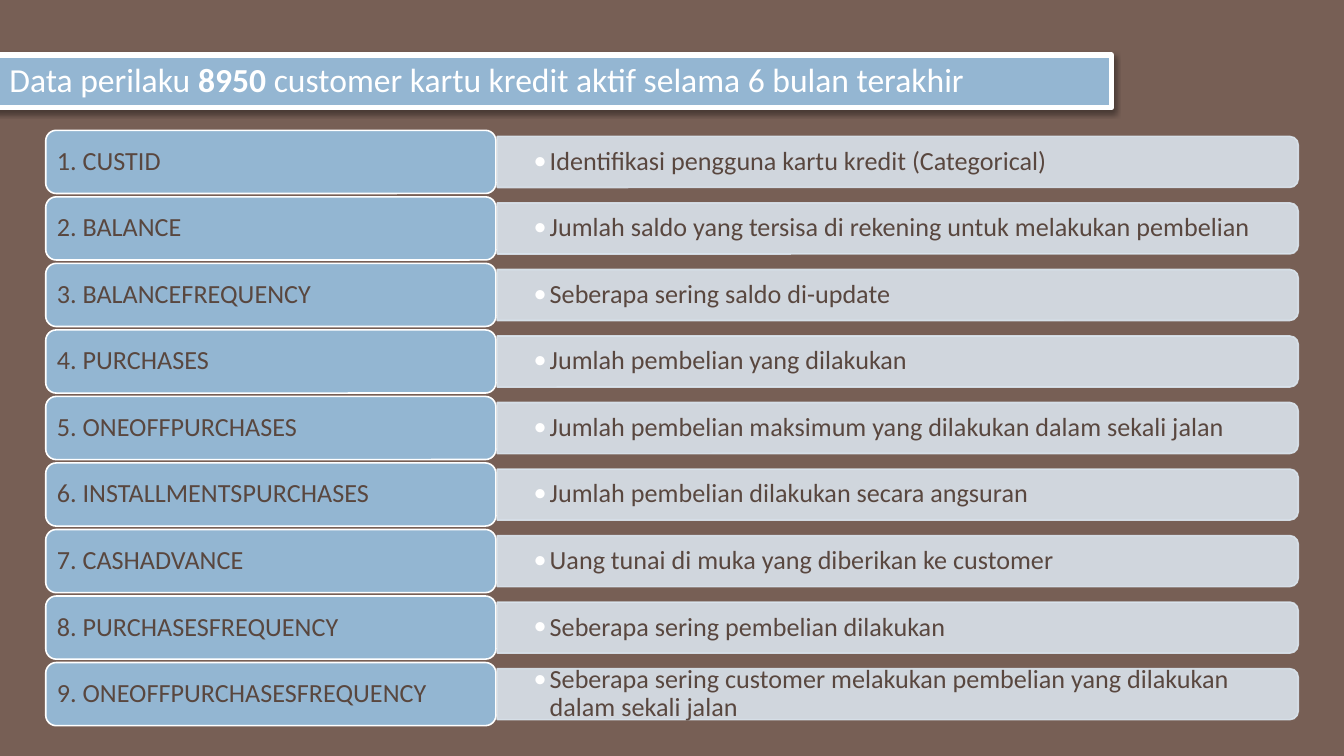
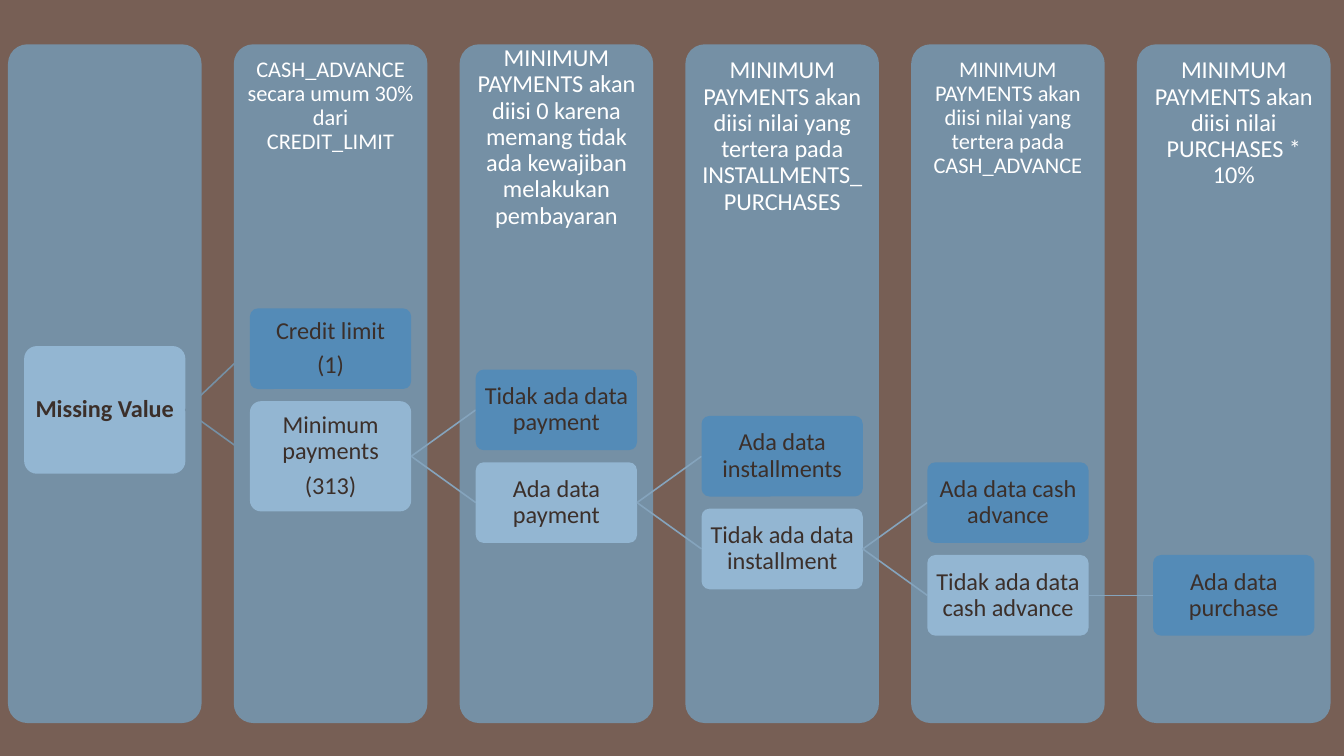
from lxml import etree
from pptx import Presentation
from pptx.dml.color import RGBColor
from pptx.enum.shapes import MSO_CONNECTOR, MSO_SHAPE
from pptx.enum.text import MSO_ANCHOR, MSO_AUTO_SIZE, PP_ALIGN
from pptx.oxml.ns import qn
from pptx.util import Inches, Pt

ROUNDED = MSO_SHAPE.ROUNDED_RECTANGLE
TOP_ROUNDED = MSO_SHAPE.ROUND_2_SAME_RECTANGLE
STRAIGHT = MSO_CONNECTOR.STRAIGHT
TOP, MIDDLE = MSO_ANCHOR.TOP, MSO_ANCHOR.MIDDLE
LEFT, CENTER = PP_ALIGN.LEFT, PP_ALIGN.CENTER
FIXED_SIZE = MSO_AUTO_SIZE.NONE
TITLE_ONLY, BLANK = 5, 6

SLIDE_WIDTH = 10
SLIDE_HEIGHT = SLIDE_WIDTH * 9 / 16

FONT = "Calibri"
BROWN = RGBColor(0x77, 0x5F, 0x55)
WHITE = RGBColor(0xFF, 0xFF, 0xFF)
TITLE_BLUE = RGBColor(0x94, 0xB6, 0xD2)
LIGHT_BLUE = RGBColor(0x93, 0xB6, 0xD2)
STRONG_BLUE = RGBColor(0x54, 0x8B, 0xB7)
SLATE = RGBColor(0x75, 0x90, 0xA5)
LINK_BLUE = RGBColor(0x85, 0xA4, 0xBD)
PALE_BLUE = RGBColor(0xDB, 0xE5, 0xEE)
TEXT_BROWN = RGBColor(0x59, 0x47, 0x3F)
DARK_BROWN = RGBColor(0x3B, 0x2F, 0x2A)
LINE_WIDTH = Pt(0.85)

TITLE_PARTS = ["Data perilaku", " 8950", " customer kartu kredit aktif selama 6 bulan terakhir"]

VARIABLES = [
    ("CUSTID", "Identifikasi pengguna kartu kredit (Categorical)"),
    ("BALANCE", "Jumlah saldo yang tersisa di rekening untuk melakukan pembelian"),
    ("BALANCEFREQUENCY", "Seberapa sering saldo di-update"),
    ("PURCHASES", "Jumlah pembelian yang dilakukan"),
    ("ONEOFFPURCHASES", "Jumlah pembelian maksimum yang dilakukan dalam sekali jalan"),
    ("INSTALLMENTSPURCHASES", "Jumlah pembelian dilakukan secara angsuran"),
    ("CASHADVANCE", "Uang tunai di muka yang diberikan ke customer"),
    ("PURCHASESFREQUENCY", "Seberapa sering pembelian dilakukan"),
    ("ONEOFFPURCHASESFREQUENCY",
     "Seberapa sering customer melakukan pembelian yang dilakukan dalam sekali jalan"),
]
ROW_TOP, LAST_ROW_TOP = 0.97, 4.93
ROW_STEP = (LAST_ROW_TOP - ROW_TOP) / (len(VARIABLES) - 1)
LABEL_LEFT, LABEL_WIDTH, LABEL_HEIGHT = 0.34, 3.35, 0.47
BAR_LEFT, BAR_WIDTH, BAR_HEIGHT = 3.7, 5.96, 0.38

# Each column: text, text size, text top
COLUMNS = [
    ("", 13, 0.33),
    ("CASH_ADVANCE secara umum 30% dari CREDIT_LIMIT", 12, 0.33),
    ("MINIMUM PAYMENTS akan diisi 0 karena memang tidak ada kewajiban melakukan pembayaran",
     13, 0.24),
    ("MINIMUM PAYMENTS akan diisi nilai yang tertera pada INSTALLMENTS_PURCHASES", 13, 0.33),
    ("MINIMUM PAYMENTS akan diisi nilai yang tertera pada CASH_ADVANCE", 12, 0.33),
    ("MINIMUM PAYMENTS akan diisi nilai PURCHASES * 10%", 13, 0.33),
]
# Each level: text, height and fill of its nodes; the last node branches on
LEVELS = [
    [("Credit limit\n(1)", 0.6, STRONG_BLUE),
     ("Minimum payments\n(313)", 0.82, LIGHT_BLUE)],
    [("Tidak ada data payment", 0.6, STRONG_BLUE), ("Ada data payment", 0.6, LIGHT_BLUE)],
    [("Ada data installments", 0.6, STRONG_BLUE),
     ("Tidak ada data installment", 0.6, LIGHT_BLUE)],
    [("Ada data cash advance", 0.6, STRONG_BLUE),
     ("Tidak ada data cash advance", 0.6, LIGHT_BLUE)],
    [("Ada data purchase", 0.6, STRONG_BLUE)],
]
COLUMN_LEFT, COLUMN_STEP, COLUMN_TOP = 0.06, 1.68, 0.33
COLUMN_WIDTH, COLUMN_HEIGHT = 1.44, 5.05
NODE_LEFT, NODE_WIDTH, NODE_GAP = 0.18, 1.2, 0.09
ROOT_CENTER, ROOT_HEIGHT = 3.05, 0.95


def inches(*lengths):
    return [Inches(length) for length in lengths]


def set_frame(frame, anchor, side, edge):
    frame.word_wrap = True
    frame.auto_size = FIXED_SIZE
    frame.vertical_anchor = anchor
    frame.margin_left = frame.margin_right = Inches(side)
    frame.margin_top = frame.margin_bottom = Inches(edge)


def format_runs(paragraph, size, color, bold=False):
    for run in paragraph.runs:
        run.font.name = FONT
        run.font.size = Pt(size)
        run.font.bold = bold
        run.font.color.rgb = color


def set_text(frame, text, size, color, align=LEFT, bold=False):
    frame.text = text
    for index, paragraph in enumerate(frame.paragraphs):
        paragraph.alignment = align
        paragraph.line_spacing = 0.9
        if index:
            paragraph.space_before = Pt(4.5)
        format_runs(paragraph, size, color, bold)


def add_box(slide, kind, box, fill, corner, line=None):
    shape = slide.shapes.add_shape(kind, *inches(*box))
    shape.shadow.inherit = False
    shape.adjustments[0] = corner
    shape.fill.solid()
    shape.fill.fore_color.rgb = fill
    if line is None:
        shape.line.fill.background()
    else:
        shape.line.color.rgb = line
        shape.line.width = LINE_WIDTH
    return shape


def add_link(slide, start, end, color):
    link = slide.shapes.add_connector(STRAIGHT, *inches(*start, *end))
    link.line.color.rgb = color
    link.line.width = LINE_WIDTH
    etree.SubElement(link._element.spPr, qn("a:effectLst"))


def set_opacity(parent, percent):
    for color in parent.iter(qn("a:srgbClr")):
        etree.SubElement(color, qn("a:alpha"), val=str(percent * 1000))


def add_bullet(paragraph, color):
    paragraph.level = 1
    properties = paragraph._p.get_or_add_pPr()
    properties.set("marL", str(Inches(0.12)))
    properties.set("indent", str(-Inches(0.12)))
    bullet_color = etree.SubElement(properties, qn("a:buClr"))
    etree.SubElement(bullet_color, qn("a:srgbClr"), val=str(color))
    etree.SubElement(properties, qn("a:buFont"), typeface=FONT)
    etree.SubElement(properties, qn("a:buChar"), char="•")


def add_drop_shadow(shape):
    shape.shadow.inherit = False
    effects = shape._element.spPr.find(qn("a:effectLst"))
    shadow = etree.SubElement(effects, qn("a:outerShdw"), blurRad=str(Pt(3.1)),
                              dist=str(Pt(1.6)), dir="5400000", rotWithShape="0")
    etree.SubElement(shadow, qn("a:srgbClr"), val="000000")
    set_opacity(shadow, 38)


def format_title(title):
    title.left, title.top, title.width, title.height = inches(-0.03, 0.41, 8.3, 0.39)
    title.fill.solid()
    title.fill.fore_color.rgb = TITLE_BLUE
    title.line.color.rgb = WHITE
    title.line.width = Pt(3)
    add_drop_shadow(title)
    frame = title.text_frame
    set_frame(frame, TOP, 0.1, 0.05)
    paragraph = frame.paragraphs[0]
    paragraph.alignment = LEFT
    paragraph.line_spacing = 0.95
    for part in TITLE_PARTS:
        paragraph.add_run().text = part
    format_runs(paragraph, 18, WHITE)
    paragraph.runs[1].font.bold = True


def add_variable_row(slide, top, label, description):
    center = top + LABEL_HEIGHT / 2
    bar_box = (BAR_LEFT + (BAR_WIDTH - BAR_HEIGHT) / 2, center - BAR_WIDTH / 2,
               BAR_HEIGHT, BAR_WIDTH)
    bar = add_box(slide, TOP_ROUNDED, bar_box, PALE_BLUE, 0.167, PALE_BLUE)
    bar.rotation = 90
    set_opacity(bar._element.spPr, 89)

    detail = slide.shapes.add_textbox(*inches(BAR_LEFT, center - 0.17, 5.95, 0.34))
    set_frame(detail.text_frame, MIDDLE, 0.27, 0.14)
    set_text(detail.text_frame, description, 14, TEXT_BROWN)
    add_bullet(detail.text_frame.paragraphs[0], WHITE)

    label_box = (LABEL_LEFT, top, LABEL_WIDTH, LABEL_HEIGHT)
    name = add_box(slide, ROUNDED, label_box, LIGHT_BLUE, 0.167, WHITE)
    set_frame(name.text_frame, MIDDLE, 0.06, 0.03)
    set_text(name.text_frame, label, 14, TEXT_BROWN)


def add_column(slide, index, text, size, text_top):
    left = COLUMN_LEFT + index * COLUMN_STEP
    add_box(slide, ROUNDED, (left, COLUMN_TOP, COLUMN_WIDTH, COLUMN_HEIGHT), SLATE, 0.1)
    if text:
        heading = slide.shapes.add_textbox(*inches(left, text_top, COLUMN_WIDTH, 1.51))
        set_frame(heading.text_frame, TOP, 0.1, 0.1)
        set_text(heading.text_frame, text, size, WHITE, CENTER)


def add_node(slide, left, center, height, text, fill, bold=False):
    node = add_box(slide, ROUNDED, (left, center - height / 2, NODE_WIDTH, height), fill, 0.1)
    set_frame(node.text_frame, MIDDLE, 0.01, 0.01)
    set_text(node.text_frame, text, 13, DARK_BROWN, CENTER, bold)


def add_tree(slide):
    """Centre the nodes of each level on the last node of the level before."""
    add_node(slide, NODE_LEFT, ROOT_CENTER, ROOT_HEIGHT, "Missing Value", LIGHT_BLUE, True)
    parent_center = ROOT_CENTER
    for depth, nodes in enumerate(LEVELS, start=1):
        left = NODE_LEFT + depth * COLUMN_STEP
        parent_right = left - COLUMN_STEP + NODE_WIDTH
        total = sum(height for _, height, _ in nodes) + NODE_GAP * (len(nodes) - 1)
        top = parent_center - total / 2
        link_color = SLATE if depth == 1 else LINK_BLUE
        for text, height, fill in nodes:
            center = top + height / 2
            add_link(slide, (parent_right, parent_center), (left, center), link_color)
            add_node(slide, left, center, height, text, fill)
            top += height + NODE_GAP
        parent_center = center


def build_variables_slide(presentation):
    slide = presentation.slides.add_slide(presentation.slide_layouts[TITLE_ONLY])
    format_title(slide.shapes.title)
    for index, (name, description) in enumerate(VARIABLES):
        add_variable_row(slide, ROW_TOP + index * ROW_STEP, f"{index + 1}. {name}", description)


def build_missing_values_slide(presentation):
    slide = presentation.slides.add_slide(presentation.slide_layouts[BLANK])
    for index, column in enumerate(COLUMNS):
        add_column(slide, index, *column)
    add_tree(slide)


def main():
    presentation = Presentation()
    presentation.slide_width, presentation.slide_height = inches(SLIDE_WIDTH, SLIDE_HEIGHT)
    background = presentation.slide_master.background.fill
    background.solid()
    background.fore_color.rgb = BROWN
    build_variables_slide(presentation)
    build_missing_values_slide(presentation)
    presentation.save("out.pptx")


if __name__ == "__main__":
    main()
